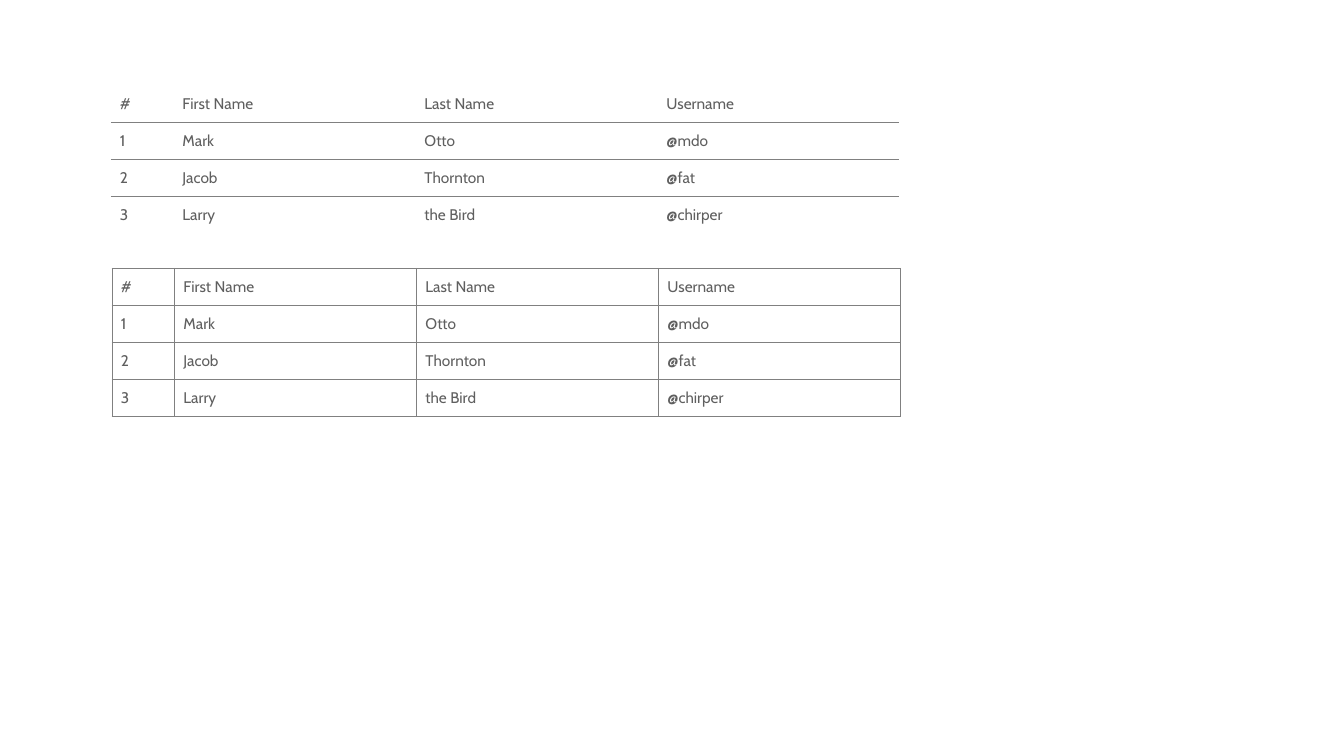
from lxml import etree
from pptx import Presentation
from pptx import util as u
from pptx.dml.color import RGBColor
from pptx.enum import text
from pptx.oxml import ns

INK = RGBColor(0x5F, 0x5F, 0x5F)
RULE = RGBColor(0x80, 0x80, 0x80)
FONT = "Cabin"
RULE_WIDTH = u.Pt(0.5)
PADDING = u.Inches(0.09)
COLUMN_WIDTHS = [0.62, 2.4, 2.4, 2.4]
ROW_HEIGHT = 0.36

PEOPLE = [
    ["#", "First Name", "Last Name", "Username"],
    ["1", "Mark", "Otto", "@mdo"],
    ["2", "Jacob", "Thornton", "@fat"],
    ["3", "Larry", "the Bird", "@chirper"],
]


def set_borders(cell, ruled_sides):
    """Rule the given sides (L, R, T, B) and clear the others."""
    properties = cell._tc.get_or_add_tcPr()
    for index, side in enumerate("LRTB"):
        line = etree.Element(ns.qn("a:ln" + side), w=str(RULE_WIDTH))
        if side in ruled_sides:
            fill = etree.SubElement(line, ns.qn("a:solidFill"))
            etree.SubElement(fill, ns.qn("a:srgbClr"), val=str(RULE))
        else:
            etree.SubElement(line, ns.qn("a:noFill"))
        properties.insert(index, line)


def write_cell(cell, wording):
    cell.fill.background()
    cell.vertical_anchor = text.MSO_ANCHOR.MIDDLE
    cell.margin_left = cell.margin_right = PADDING
    cell.margin_top = cell.margin_bottom = PADDING
    span = cell.text_frame.paragraphs[0].add_run()
    span.text = wording
    span.font.name = FONT
    span.font.size = u.Pt(11)
    span.font.bold = False
    span.font.color.rgb = INK


def add_people_table(page, box, boxed):
    """Boxed tables get a full grid, others only lines between rows."""
    left, top, width, height = (u.Inches(length) for length in box)
    table = page.shapes.add_table(
        len(PEOPLE), len(COLUMN_WIDTHS), left, top, width, height).table
    table.first_row = table.horz_banding = False
    for column, column_width in zip(table.columns, COLUMN_WIDTHS):
        column.width = u.Inches(column_width)
    last = len(PEOPLE) - 1
    for number, person in enumerate(PEOPLE):
        table.rows[number].height = u.Inches(ROW_HEIGHT)
        between = ("T" if number > 0 else "") + ("B" if number < last else "")
        for position, wording in enumerate(person):
            cell = table.cell(number, position)
            write_cell(cell, wording)
            set_borders(cell, "LRTB" if boxed else between)


deck = Presentation()
deck.slide_width = u.Inches(13.33)
deck.slide_height = u.Inches(7.5)
page = deck.slides.add_slide(deck.slide_layouts[6])

# Two versions of the same table
table_size = (sum(COLUMN_WIDTHS), ROW_HEIGHT * len(PEOPLE))
add_people_table(page, (1.1, 0.85, *table_size), boxed=False)
add_people_table(page, (1.11, 2.66, *table_size), boxed=True)

deck.save("out.pptx")
